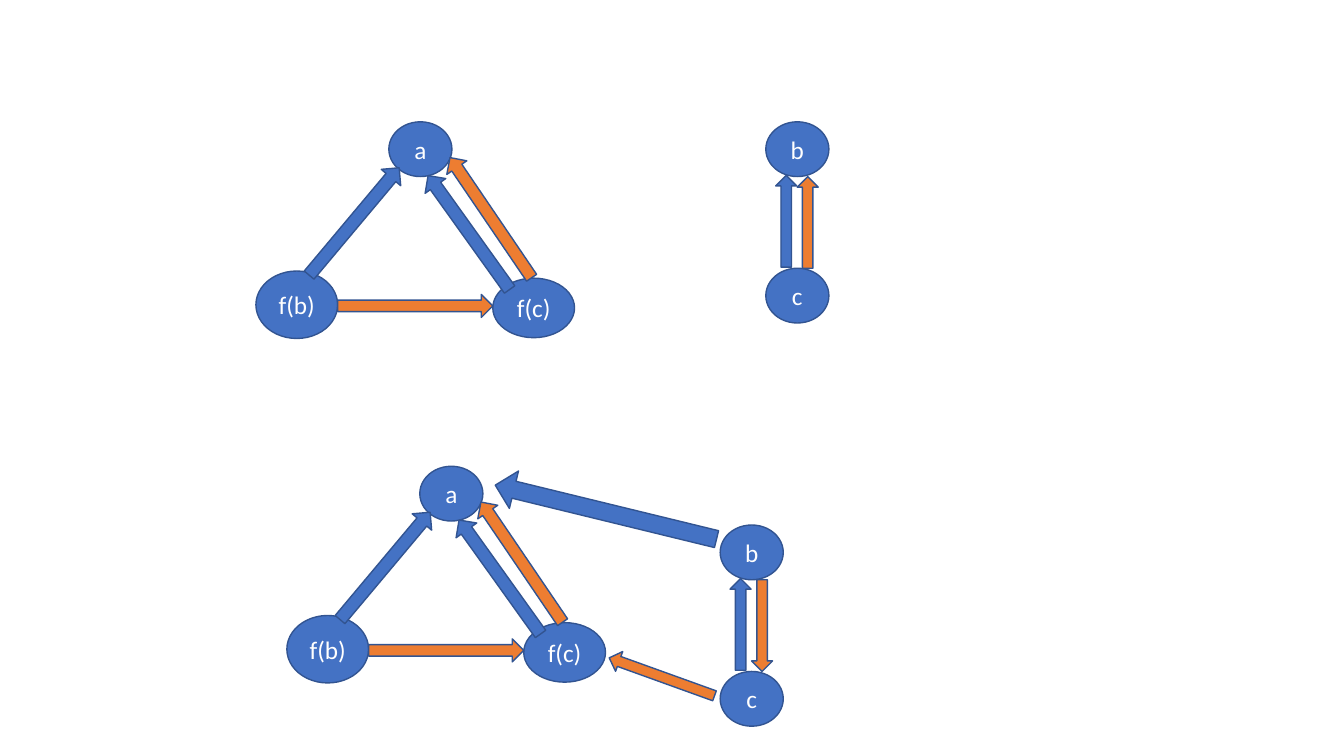
import pptx
import pptx.util
import pptx.dml.color
import pptx.enum.shapes
import pptx.enum.text

Cm = pptx.util.Cm
SHAPES = pptx.enum.shapes.MSO_SHAPE
BLUE = "4472C4"
ORANGE = "ED7D31"
OUTLINE = "325491"
WHITE = "FFFFFF"


def color(value):
    return pptx.dml.color.RGBColor.from_string(value)


class GraphSlide:
    font_name = "Calibri"
    font_size = pptx.util.Pt(18)
    line_width = pptx.util.Pt(1)

    def __init__(self, slide):
        self.slide = slide

    def add_shape(self, kind, left, top, width, height, fill):
        shape = self.slide.shapes.add_shape(kind, Cm(left), Cm(top), Cm(width), Cm(height))
        shape.shadow.inherit = False
        shape.fill.solid()
        shape.fill.fore_color.rgb = color(fill)
        shape.line.color.rgb = color(OUTLINE)
        shape.line.width = self.line_width
        return shape

    def add_node(self, label, left, top, width=1.59, height=1.38):
        shape = self.add_shape(SHAPES.OVAL, left, top, width, height, BLUE)
        frame = shape.text_frame
        frame.word_wrap = False
        frame.vertical_anchor = pptx.enum.text.MSO_ANCHOR.MIDDLE
        paragraph = frame.paragraphs[0]
        paragraph.alignment = pptx.enum.text.PP_ALIGN.CENTER
        run = paragraph.add_run()
        run.text = label
        run.font.name = self.font_name
        run.font.size = self.font_size
        run.font.color.rgb = color(WHITE)

    def add_arrow(self, left, top, width, height, rotation, fill, shaft=0.5):
        shape = self.add_shape(SHAPES.RIGHT_ARROW, left, top, width, height, fill)
        shape.rotation = rotation
        shape.adjustments[0] = shaft

    def add_triangle(self, left, top):
        self.add_node("a", left + 3.35, top)
        self.add_node("f(b)", left, top + 3.76, 2.06, 1.7)
        self.add_node("f(c)", left + 5.97, top + 3.94, 2.06, 1.5)
        self.add_arrow(left + 0.71, top + 2.19, 3.53, 0.64, 310, BLUE)
        self.add_arrow(left + 3.6, top + 2.47, 3.53, 0.64, 234.4, BLUE)
        self.add_arrow(left + 2.06, top + 4.35, 3.91, 0.58, 0, ORANGE)
        self.add_arrow(left + 4.09, top + 2.11, 3.66, 0.61, 235.8, ORANGE)

    def add_pair(self, left, top, orange_rotation):
        self.add_node("b", left, top)
        self.add_node("c", left, top + 3.69)
        self.add_arrow(left - 0.64, top + 2.24, 2.31, 0.53, 270, BLUE)
        self.add_arrow(left - 0.1, top + 2.27, 2.31, 0.53, orange_rotation, ORANGE)


def main():
    presentation = pptx.Presentation()
    presentation.slide_width = Cm(33.87)
    presentation.slide_height = Cm(19.05)
    graph = GraphSlide(presentation.slides.add_slide(presentation.slide_layouts[6]))

    graph.add_triangle(6.45, 3.07)
    graph.add_pair(19.3, 3.07, 270)

    graph.add_triangle(7.23, 11.75)
    graph.add_pair(18.15, 13.23, 90)
    graph.add_arrow(12.4, 12.42, 5.74, 0.97, 193.7, BLUE, 0.45)
    graph.add_arrow(15.27, 16.79, 2.82, 0.53, 199.8, ORANGE)

    presentation.save("out.pptx")


if __name__ == "__main__":
    main()
